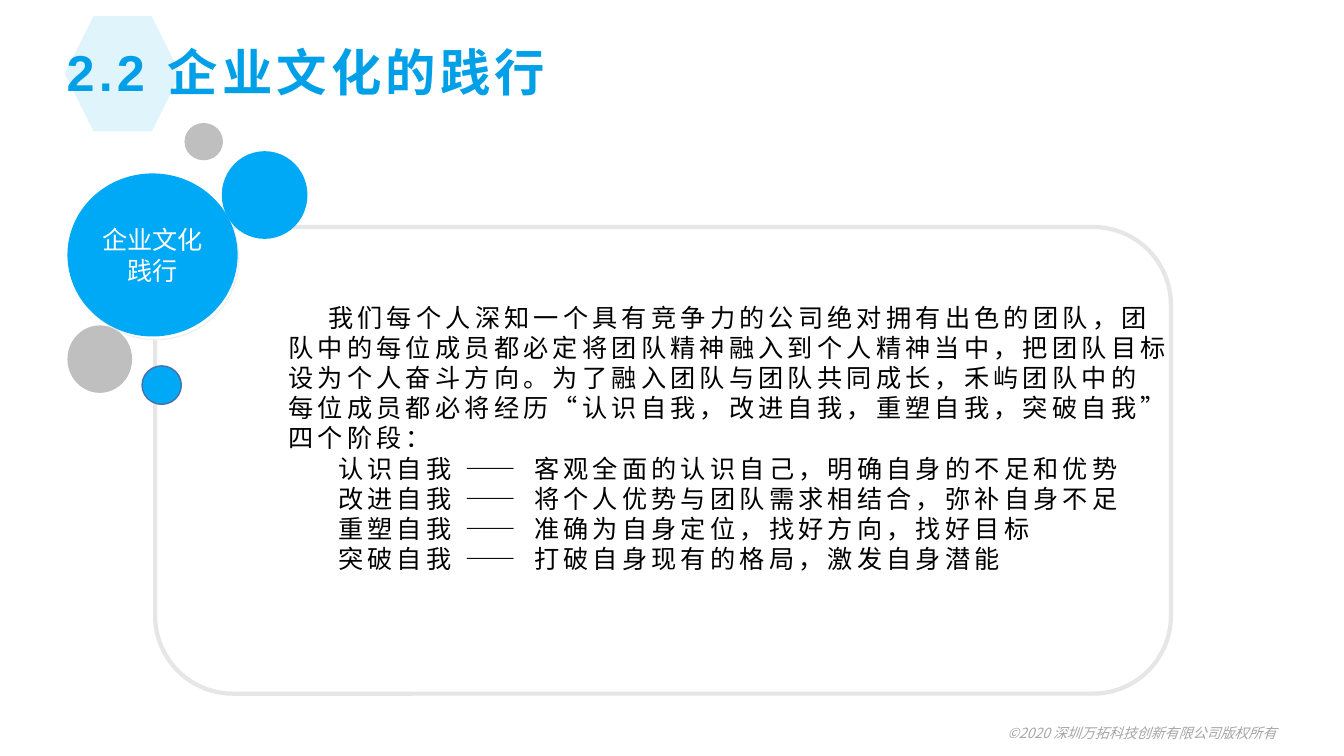
from dataclasses import dataclass
from typing import Optional

from lxml.etree import SubElement
from pptx import Presentation
from pptx.dml.color import RGBColor
from pptx.enum.shapes import MSO_SHAPE as Shape
from pptx.enum.text import MSO_ANCHOR as Anchor, PP_ALIGN as Align
from pptx.oxml.ns import qn
from pptx.util import Cm, Pt


@dataclass(frozen=True)
class Theme:
    blue: str = "00A9F5"
    title: str = "00A0E9"
    pale: str = "E0F4FC"
    grey: str = "BFBFBF"
    frame: str = "E6E6E6"
    halo: str = "F0F0F0"
    rim: str = "476FAA"
    footer: str = "A6A6A6"
    white: str = "FFFFFF"
    black: str = "000000"
    latin: str = "Arial"
    cjk: str = "Noto Sans CJK SC"
    title_size: int = 36
    body_size: int = 18
    footer_size: int = 10


THEME = Theme()


@dataclass(frozen=True)
class Box:
    left: float
    top: float
    width: float
    height: float

    def lengths(self) -> tuple:
        return Cm(self.left), Cm(self.top), Cm(self.width), Cm(self.height)


@dataclass(frozen=True)
class Figure:
    box: Box
    fill: str
    line: Optional[str] = None
    weight: float = 1
    kind: Shape = Shape.FLOWCHART_CONNECTOR
    label: str = ""


@dataclass(frozen=True)
class Style:
    size: int
    color: str
    font: str = THEME.latin
    bold: bool = False
    italic: bool = False
    spacing: int = 0
    align: Align = Align.LEFT


@dataclass(frozen=True)
class Line:
    text: str
    indent: float = 0


LABEL = Style(THEME.body_size, THEME.white, align=Align.CENTER)
TITLE = Style(THEME.title_size, THEME.title, bold=True, spacing=3)
BODY = Style(THEME.body_size, THEME.black, spacing=3)
FOOTER = Style(THEME.footer_size, THEME.footer, THEME.cjk, italic=True, align=Align.RIGHT)

FIGURES = [
    # Plain emblem behind the title
    Figure(Box(1.63, 0.41, 2.92, 2.9), THEME.pale, kind=Shape.HEXAGON),
    # Frame of the text
    Figure(Box(3.91, 5.72, 25.6, 11.76), THEME.white, THEME.frame, 3, Shape.ROUNDED_RECTANGLE),
    # Bubbles
    Figure(Box(1.83, 4.45, 4.19, 4.11), THEME.white, THEME.halo),
    Figure(Box(1.7, 4.37, 4.29, 4.11), THEME.blue, label="企业文化践行"),
    Figure(Box(4.65, 3.1, 0.97, 0.94), THEME.grey),
    Figure(Box(5.59, 3.81, 2.16, 2.21), THEME.blue),
    Figure(Box(3.58, 9.22, 0.99, 0.97), THEME.blue, THEME.rim),
    Figure(Box(1.7, 8.2, 1.63, 1.7), THEME.grey),
]

INTRO = [
    Line("我们每个人深知一个具有竞争力的公司绝对拥有出色的团队，团", 1),
    Line("队中的每位成员都必定将团队精神融入到个人精神当中，把团队目标"),
    Line("设为个人奋斗方向。为了融入团队与团队共同成长，禾屿团队中的"),
    Line("每位成员都必将经历“认识自我，改进自我，重塑自我，突破自我”"),
    Line("四个阶段："),
]
STAGES = {
    "认识自我": "客观全面的认识自己，明确自身的不足和优势",
    "改进自我": "将个人优势与团队需求相结合，弥补自身不足",
    "重塑自我": "准确为自身定位，找好方向，找好目标",
    "突破自我": "打破自身现有的格局，激发自身潜能",
}


def write_lines(tf, lines: list[Line], style: Style) -> None:
    tf.word_wrap = True
    tf.vertical_anchor = Anchor.MIDDLE
    tf.text = "\n".join(line.text for line in lines)
    for p, line in zip(tf.paragraphs, lines):
        p.alignment = style.align
        if line.indent:
            p._p.get_or_add_pPr().set("indent", str(Cm(line.indent)))
        for r in p.runs:
            r.font.name = style.font
            r.font.size = Pt(style.size)
            r.font.bold = style.bold
            r.font.italic = style.italic
            r.font.color.rgb = RGBColor.from_string(style.color)
            rPr = r._r.get_or_add_rPr()
            rPr.set("spc", str(style.spacing * 100))
            SubElement(rPr, qn("a:ea"), typeface=THEME.cjk)


def draw_figure(s, figure: Figure) -> None:
    sp = s.shapes.add_shape(figure.kind, *figure.box.lengths())
    sp.shadow.inherit = False
    sp.fill.solid()
    sp.fill.fore_color.rgb = RGBColor.from_string(figure.fill)
    if figure.line:
        sp.line.color.rgb = RGBColor.from_string(figure.line)
        sp.line.width = Pt(figure.weight)
    else:
        sp.line.fill.background()
    if figure.label:
        tf = sp.text_frame
        tf.margin_left = tf.margin_right = 0
        write_lines(tf, [Line(figure.label)], LABEL)


def draw_text(s, box: Box, lines: list[Line], style: Style) -> None:
    tf = s.shapes.add_textbox(*box.lengths()).text_frame
    tf.margin_left, tf.margin_right = Cm(0.28), Cm(0.2)
    tf.margin_top = tf.margin_bottom = Cm(0.1)
    write_lines(tf, lines, style)


def main() -> None:
    prs = Presentation()
    prs.slide_width, prs.slide_height = Cm(33.87), Cm(19.05)
    s = prs.slides.add_slide(prs.slide_layouts[6])

    for figure in FIGURES:
        draw_figure(s, figure)

    # Title, body and footer
    stages = [Line(f"{name} —— {aim}", 1.25) for name, aim in STAGES.items()]
    draw_text(s, Box(1.4, 0.89, 26.21, 1.8), [Line("2.2 企业文化的践行")], TITLE)
    draw_text(s, Box(6.99, 6.83, 22.89, 8.41), INTRO + stages, BODY)
    draw_text(s, Box(17.63, 17.96, 14.73, 1.02),
              [Line("©2020 深圳万拓科技创新有限公司版权所有")], FOOTER)

    prs.save("out.pptx")


if __name__ == "__main__":
    main()
